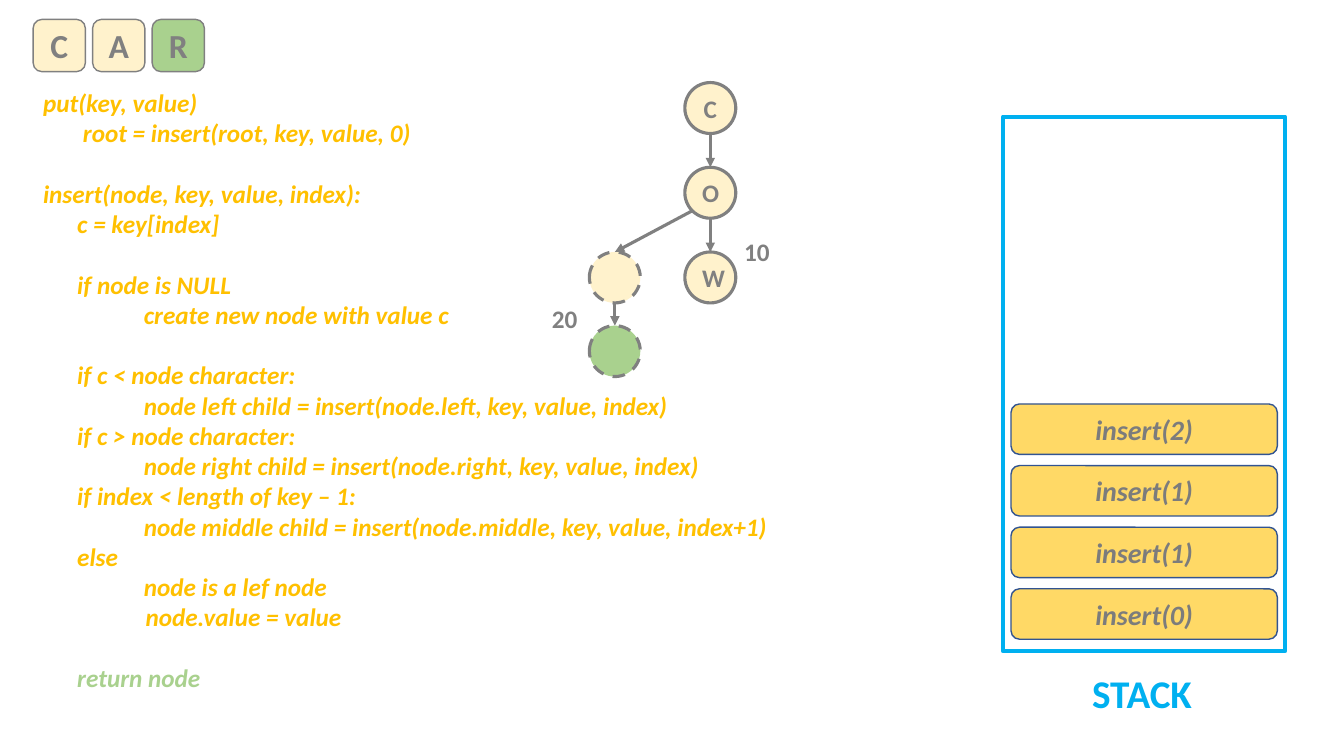
import pptx
import pptx.util
import pptx.oxml.xmlchemy
from pptx.dml.color import RGBColor
from pptx.enum.dml import MSO_LINE
from pptx.enum.shapes import MSO_CONNECTOR, MSO_SHAPE
from pptx.enum.text import MSO_ANCHOR, PP_ALIGN

Pt = pptx.util.Pt
GRAY = RGBColor(0x80, 0x80, 0x80)
CALL_GRAY = RGBColor(0x7C, 0x7C, 0x7C)
CREAM = RGBColor(0xFF, 0xF2, 0xCC)
GREEN = RGBColor(0xA9, 0xD1, 0x8E)
GOLD = RGBColor(0xFF, 0xD9, 0x66)
AMBER = RGBColor(0xFF, 0xC0, 0x00)
NAVY = RGBColor(0x32, 0x54, 0x91)
CYAN = RGBColor(0x00, 0xB0, 0xF0)

NODE = 36.4
LINE_PITCH = 21.6
STEP, DEEP = 24.4, 72
CODE = [
    (0, 0, "put(key, value)"),
    (0, 28.5, "root = insert(root, key, value, 0)"),
    (1, 0, "insert(node, key, value, index):"),
    (0, STEP, "c = key[index]"),
    (1, STEP, "if node is NULL"),
    (0, DEEP, "create new node with value c"),
    (1, STEP, "if c < node character:"),
    (0, DEEP, "node left child = insert(node.left, key, value, index)"),
    (0, STEP, "if c > node character:"),
    (0, DEEP, "node right child = insert(node.right, key, value, index)"),
    (0, STEP, "if index < length of key – 1:"),
    (0, DEEP, "node middle child = insert(node.middle, key, value, index+1)"),
    (0, STEP, "else"),
    (0, DEEP, "node is a lef node"),
    (0, 73.2, "node.value = value"),
    (1, STEP, "return node"),
]


def style(p, size, color, italic=False):
    p.font.name = "Calibri"
    p.font.size = Pt(size)
    p.font.bold = True
    p.font.italic = italic
    p.font.color.rgb = color


def add_box(s, kind, x, y, w, h, fill, line, width):
    sp = s.shapes.add_shape(kind, Pt(x), Pt(y), Pt(w), Pt(h))
    sp.shadow.inherit = False
    if fill is None:
        sp.fill.background()
    else:
        sp.fill.solid()
        sp.fill.fore_color.rgb = fill
    sp.line.color.rgb = line
    sp.line.width = Pt(width)
    return sp


def add_caption(sp, text, size, color, italic=False):
    tf = sp.text_frame
    tf.vertical_anchor = MSO_ANCHOR.MIDDLE
    p = tf.paragraphs[0]
    p.text = text
    p.alignment = PP_ALIGN.CENTER
    style(p, size, color, italic)


def add_node(s, cx, y, letter=None, fill=CREAM):
    sp = add_box(s, MSO_SHAPE.OVAL, cx - NODE / 2, y, NODE, NODE, fill, GRAY, 2.25)
    if letter:
        add_caption(sp, letter, 18, GRAY)
    else:
        sp.line.dash_style = MSO_LINE.DASH


def add_arrow(s, x1, y1, x2, y2):
    c = s.shapes.add_connector(MSO_CONNECTOR.STRAIGHT, Pt(x1), Pt(y1), Pt(x2), Pt(y2))
    c.line.color.rgb = GRAY
    c.line.width = Pt(2.25)
    tail = pptx.oxml.xmlchemy.OxmlElement("a:tailEnd")
    tail.set("type", "triangle")
    spPr = c._element.spPr
    spPr.ln.append(tail)
    spPr.append(pptx.oxml.xmlchemy.OxmlElement("a:effectLst"))


def add_label(s, x, y, w, h, text, size, color):
    tf = s.shapes.add_textbox(Pt(x), Pt(y), Pt(w), Pt(h)).text_frame
    tf.word_wrap = True
    p = tf.paragraphs[0]
    p.text = text
    style(p, size, color)


def add_code(s, x, y, w, h):
    tf = s.shapes.add_textbox(Pt(x), Pt(y), Pt(w), Pt(h)).text_frame
    tf.word_wrap = True
    for i, (gap, indent, text) in enumerate(CODE):
        p = tf.add_paragraph() if i else tf.paragraphs[0]
        p.text = text
        p.line_spacing = Pt(LINE_PITCH)
        p.space_before = Pt(gap * LINE_PITCH)
        p._p.get_or_add_pPr().set("marL", str(Pt(indent)))
        style(p, 18, GREEN if text == "return node" else AMBER, True)


def add_tree(s):
    trunk, left = 507.4, 439.2
    tops = [59, 119.5, 180]
    leaf_top = 232.6
    add_arrow(s, left, tops[2] + NODE, left, leaf_top)
    for y, letter in zip(tops, "COW"):
        add_node(s, trunk, y, letter)
    for y1, y2 in zip(tops, tops[1:]):
        add_arrow(s, trunk, y1 + NODE, trunk, y2)
    add_node(s, left, tops[2])
    add_arrow(s, 494.6, 150.5, left, tops[2])
    add_node(s, left, leaf_top, fill=GREEN)
    add_label(s, 524.4, 165, 33.5, 29, "10", 18, GRAY)
    add_label(s, 387.2, 213.3, 33.5, 29, "20", 18, GRAY)


def add_stack(s):
    add_box(s, MSO_SHAPE.RECTANGLE, 716.4, 83.3, 201.6, 381.8, None, CYAN, 3)
    add_label(s, 773, 474.5, 90, 41, "STACK", 28, CYAN)
    for i, index in enumerate([0, 1, 1, 2]):
        sp = add_box(s, MSO_SHAPE.ROUNDED_RECTANGLE, 722.2, 420.6 - 44 * i, 190.2, 36,
                     GOLD, NAVY, 1)
        add_caption(sp, f"insert({index})", 20, CALL_GRAY, True)


def add_key(s):
    for i, (letter, fill) in enumerate(zip("CAR", [CREAM, CREAM, GREEN])):
        sp = add_box(s, MSO_SHAPE.ROUNDED_RECTANGLE, 23.7 + 42.5 * i, 13.9, 37.3, 37.3,
                     fill, GRAY, 1)
        add_caption(sp, letter, 24, GRAY)


def main():
    prs = pptx.Presentation()
    prs.slide_width = Pt(960)
    prs.slide_height = Pt(540)
    s = prs.slides.add_slide(prs.slide_layouts[6])
    add_key(s)
    add_code(s, 23.7, 59, 537, 465)
    add_tree(s)
    add_stack(s)
    prs.save("out.pptx")


main()
